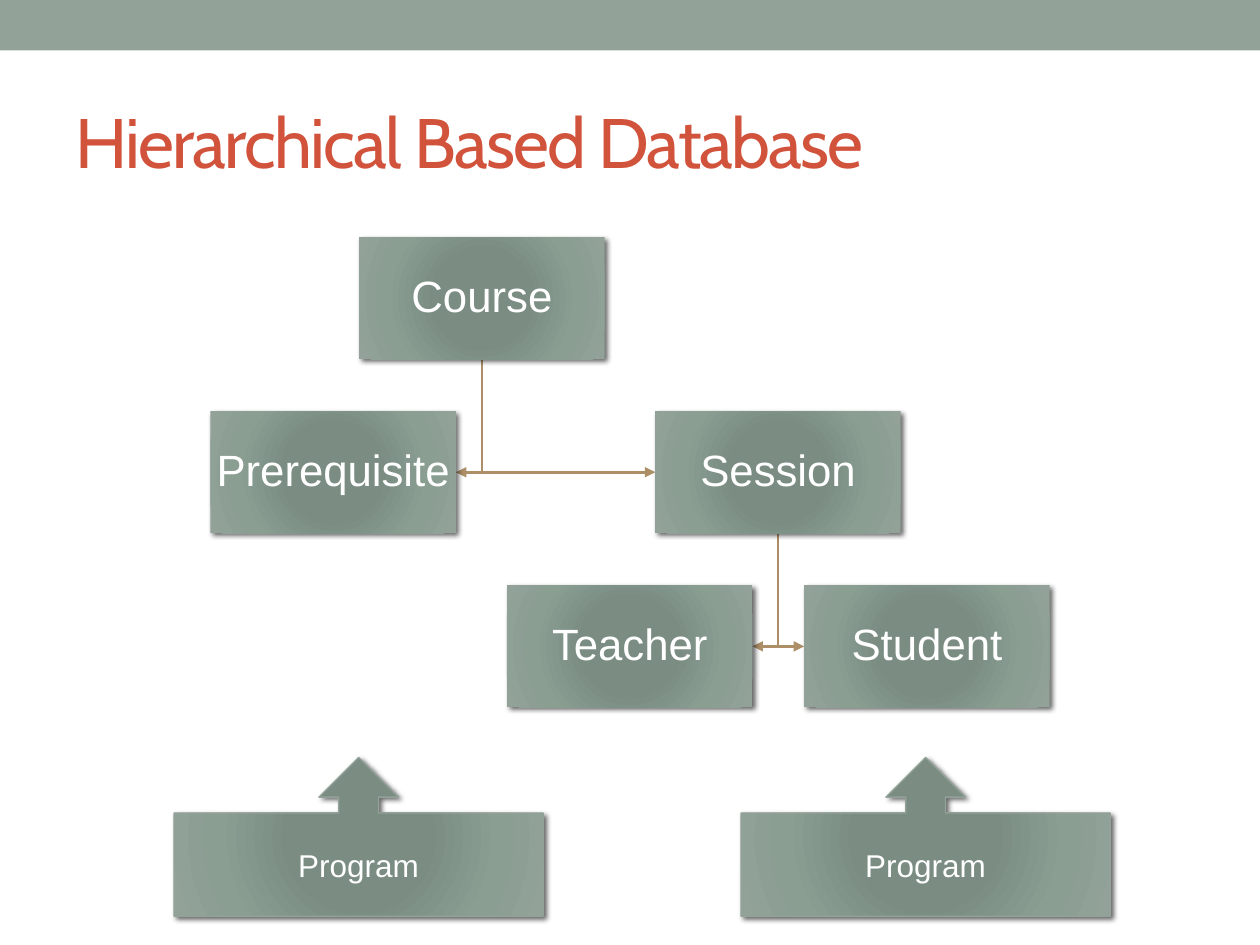
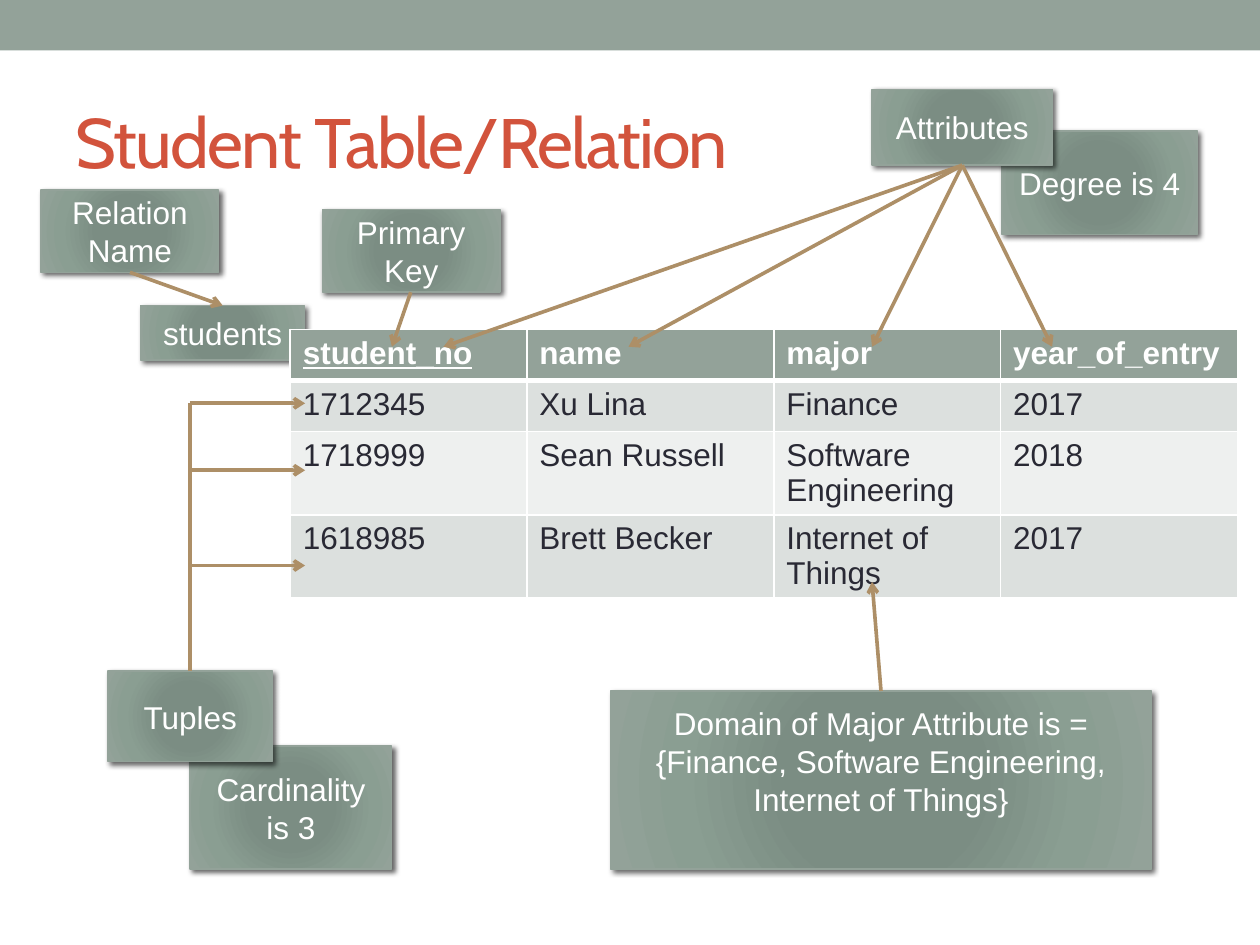
"""Build two database slides: a hierarchy and an annotated relation table."""
from pptx import Presentation
from pptx.dml.color import RGBColor
from pptx.enum.shapes import MSO_CONNECTOR as Link, MSO_SHAPE as Kind
from pptx.enum.text import MSO_ANCHOR as Anchor, MSO_AUTO_SIZE as Fit, PP_ALIGN as Align
from pptx.oxml import parse_xml
from pptx.oxml.ns import nsdecls, qn
from pptx.util import Cm, Pt

HUES = {
    "sage": "93A299", "red": "D2533C", "tan": "AD8F67", "ink": "292934",
    "white": "FFFFFF", "black": "000000", "odd": "DCE0DE", "even": "EEF0EF",
}
STOPS = [(0, "7B8E82"), (34, "7B8D83"), (70, "8A9E92"), (100, HUES["sage"])]


def tint(name):
    return RGBColor.from_string(HUES[name])


def node(tag, attrs="", inner=""):
    return parse_xml(f"<a:{tag} {nsdecls('a')} {attrs}>{inner}</a:{tag}>")


def write(frame, text, size=18, hue="white", font="Arial", align=Align.CENTER,
          anchor=Anchor.MIDDLE, bold=False, under=False, lead=None, track=None):
    frame.word_wrap = True
    frame.vertical_anchor = anchor
    para = frame.paragraphs[0]
    para.alignment = align
    if lead:
        para.line_spacing = lead
    run = para.add_run()
    run.text = text
    face = run.font
    face.name, face.size, face.bold, face.underline = font, Pt(size), bold, under
    face.color.rgb = tint(hue)
    if track:
        run._r.get_or_add_rPr().set("spc", str(track))


class Deck:
    def __init__(self):
        self.file = Presentation()
        self.file.slide_width, self.file.slide_height = Cm(25.4), Cm(19.05)
        self.slide = None

    def start(self, title):
        self.slide = self.file.slides.add_slide(self.file.slide_layouts[5])
        head = self.slide.shapes.title
        head.left, head.top, head.width, head.height = map(Cm, (1.27, 1.47, 22.86, 2.74))
        head.text_frame.auto_size = Fit.NONE
        write(head.text_frame, title, size=40, hue="red", font="Cabin",
              align=Align.LEFT, track=-100)
        band = self.slide.shapes.add_shape(Kind.RECTANGLE, 0, 0, Cm(25.4), Cm(1.02))
        band.shadow.inherit = False
        band.fill.solid()
        band.fill.fore_color.rgb = tint("sage")
        band.line.fill.background()

    def box(self, text, x, y, wide, high, kind=Kind.RECTANGLE, edge=True,
            inset=None, foot=None, **style):
        shape = self.slide.shapes.add_shape(kind, *map(Cm, (x, y, wide, high)))
        self.shade(shape)
        if edge:
            shape.line.color.rgb = tint("sage")
            shape.line.width = Pt(0.75)
        else:
            shape.line.fill.background()
        frame = shape.text_frame
        if inset:
            frame.margin_left = frame.margin_right = Cm(inset)
            frame.margin_top = frame.margin_bottom = Cm(inset)
        if foot:
            frame.margin_bottom = Cm(foot)
        write(frame, text, **style)

    def shade(self, shape):
        shape.fill.gradient()
        shape.shadow.inherit = False
        props = shape._element.spPr
        stops = "".join(f'<a:gs pos="{pos * 1000}"><a:srgbClr val="{hue}"/></a:gs>'
                        for pos, hue in STOPS)
        focus = '<a:fillToRect l="100000" t="100000" r="100000" b="100000"/>'
        fill = node("gradFill", 'rotWithShape="1"',
                    f'<a:gsLst>{stops}</a:gsLst><a:path path="circle">{focus}</a:path>')
        props.replace(props.find(qn("a:gradFill")), fill)
        shadow = node("outerShdw", f'blurRad="{Pt(3)}" dist="{Pt(2)}" dir="2700000"',
                      f'<a:srgbClr val="{HUES["black"]}"><a:alpha val="60000"/></a:srgbClr>')
        props.find(qn("a:effectLst")).append(shadow)

    def ink(self, line, width, tip):
        line.color.rgb = tint("tan")
        line.width = Pt(width)
        if tip:
            line._get_or_add_ln().append(node("tailEnd", f'type="{tip}"'))

    def line(self, start, end, tip="arrow"):
        link = self.slide.shapes.add_connector(Link.STRAIGHT, *map(Cm, start + end))
        self.ink(link.line, 2.08, tip)
        link._element.spPr.append(node("effectLst"))

    def elbow(self, start, end):
        (left, top), (right, low) = [tuple(map(Cm, spot)) for spot in (start, end)]
        path = self.slide.shapes.build_freeform(left, top)
        path.add_line_segments([(left, low), (right, low)], close=False)
        shape = path.convert_to_shape()
        shape.fill.background()
        shape.shadow.inherit = False
        self.ink(shape.line, 1.5, "triangle")

    def table(self, rows, x, y, widths, high):
        frame = self.slide.shapes.add_table(
            len(rows), len(widths), *map(Cm, (x, y, sum(widths), high * len(rows))))
        grid = frame.table
        for col, wide in zip(grid.columns, widths):
            col.width = Cm(wide)
        for r, row in enumerate(rows):
            grid.rows[r].height = Cm(high)
            for c, text in enumerate(row):
                self.cell(grid.cell(r, c), text, r, key=(r == c == 0))

    def cell(self, cell, text, row, key):
        head = row == 0
        props = cell._tc.get_or_add_tcPr()
        for side in "LRTB":
            thick = 3 if (row, side) in ((0, "B"), (1, "T")) else 1
            paint = f'<a:solidFill><a:srgbClr val="{HUES["white"]}"/></a:solidFill>'
            props.append(node(f"ln{side}", f'w="{Pt(thick)}"', paint))
        cell.fill.solid()
        cell.fill.fore_color.rgb = tint("sage" if head else ("even", "odd")[row % 2])
        write(cell.text_frame, text, hue="white" if head else "ink", bold=head,
              under=key, align=Align.LEFT, anchor=Anchor.TOP)


def draw_tree(deck):
    deck.start("Hierarchical Based Database")
    for x in (3.51, 14.94):
        deck.box("Program", x, 15.27, 7.44, 3.2, kind=Kind.UP_ARROW_CALLOUT)
    wide, high, top, step = 4.95, 2.46, 4.78, 3.51
    spots = {"Course": (7.24, 0), "Prerequisite": (4.24, 1), "Session": (13.21, 1),
             "Teacher": (10.22, 2), "Student": (16.21, 2)}
    spots = {name: (x, top + step * level) for name, (x, level) in spots.items()}
    kids = {"Session": ("Student", "Teacher"), "Course": ("Session", "Prerequisite")}
    for name, group in kids.items():
        x, y = spots[name]
        for kid in group:
            left, low = spots[kid]
            side = left if left > x else left + wide
            deck.elbow((x + wide / 2, y + high), (side, low + high / 2))
    for name, (x, y) in spots.items():
        deck.box(name, x, y, wide, high, edge=False, inset=0.05, size=25, lead=0.9)


def draw_table(deck):
    deck.start("Student Table/Relation")
    deck.box("students", 2.84, 6.16, 3.3, 1.1)
    deck.box("Cardinality is 3", 3.83, 15.04, 4.07, 2.48)
    deck.box("Degree is 4", 20.2, 2.64, 3.94, 2.09)
    deck.table([
        ("student_no", "name", "major", "year_of_entry"),
        ("1712345", "Xu Lina", "Finance", "2017"),
        ("1718999", "Sean Russell", "Software Engineering", "2018"),
        ("1618985", "Brett Becker", "Internet of Things", "2017"),
    ], 5.85, 6.64, (4.77, 4.98, 4.57, 4.78), 1.03)
    deck.box("Primary Key", 6.5, 4.23, 3.58, 1.66)
    deck.line((8.28, 5.89), (7.9, 6.99))
    deck.box("Attributes", 17.58, 1.8, 3.64, 1.53)
    for x in (21.21, 17.58, 12.67, 8.94):
        deck.line((19.4, 3.33), (x, 6.99))
    deck.box("Tuples", 2.18, 13.53, 3.31, 1.83)
    stem, peak = 3.83, 8.13
    deck.line((stem, 13.53), (stem, peak), tip=None)
    for y in (11.4, 9.48, peak):
        deck.line((stem, y), (6.15, y))
    deck.box("Domain of Major Attribute is = {Finance, Software Engineering, "
             "Internet of Things}", 12.31, 13.93, 10.9, 3.59, foot=0.89)
    deck.box("Relation Name", 0.83, 3.83, 3.58, 1.66)
    deck.line((2.62, 5.49), (4.49, 6.16))
    deck.line((17.76, 13.93), (17.58, 11.73))


def main():
    deck = Deck()
    draw_tree(deck)
    draw_table(deck)
    deck.file.save("out.pptx")


if __name__ == "__main__":
    main()
